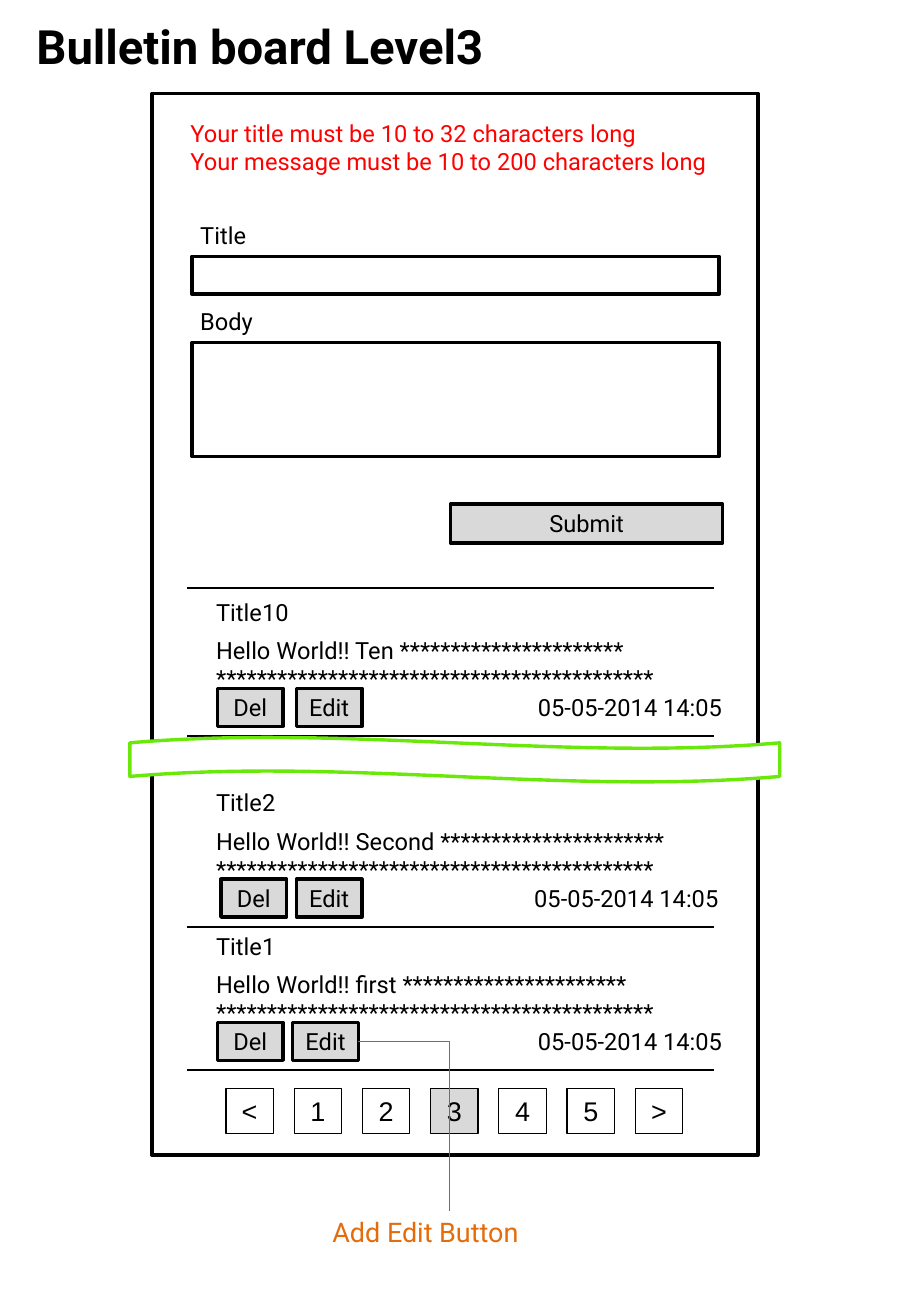
from lxml import etree
from pptx import Presentation
from pptx.dml.color import RGBColor
from pptx.enum import shapes, text
from pptx.oxml import ns
from pptx.util import Pt

BLACK = RGBColor(0x00, 0x00, 0x00)
WHITE = RGBColor(0xFF, 0xFF, 0xFF)
GREY = RGBColor(0xD9, 0xD9, 0xD9)
RED = RGBColor(0xFF, 0x00, 0x00)
GREEN = RGBColor(0x69, 0xE8, 0x0A)
ORANGE = RGBColor(0xE4, 0x6C, 0x0A)
BROWN = RGBColor(0xBF, 0x4C, 0x48)


def format_text(tf, size=14, color=BLACK, font="Roboto", align=None, bold=False):
    """Apply one font and alignment to every run of a text frame."""
    for p in tf.paragraphs:
        p.alignment = align
        for r in p.runs:
            r.font.name = font
            r.font.size = Pt(size)
            r.font.bold = bold
            r.font.color.rgb = color


def add_title(s, words):
    """Place and format the slide title."""
    sp = s.shapes.title
    sp.left, sp.top, sp.width, sp.height = Pt(14.4), Pt(-1.4), Pt(438.5), Pt(57)
    tf = sp.text_frame
    tf.text = words
    tf.auto_size = text.MSO_AUTO_SIZE.NONE
    tf.vertical_anchor = text.MSO_ANCHOR.MIDDLE
    format_text(tf, 28, align=text.PP_ALIGN.LEFT, bold=True)


def add_label(parent, words, x, y, w, h, size=14, color=BLACK):
    """Add a text box and return its text frame."""
    tf = parent.add_textbox(Pt(x), Pt(y), Pt(w), Pt(h)).text_frame
    tf.word_wrap = True
    tf.text = words
    format_text(tf, size, color)
    return tf


def add_box(parent, x, y, w, h, fill=None, line=BLACK, weight=2,
            kind=shapes.MSO_SHAPE.RECTANGLE):
    """Add an outlined shape, filled only when a colour is given."""
    sp = parent.add_shape(kind, Pt(x), Pt(y), Pt(w), Pt(h))
    sp.shadow.inherit = False
    if fill is None:
        sp.fill.background()
    else:
        sp.fill.solid()
        sp.fill.fore_color.rgb = fill
    sp.line.color.rgb = line
    sp.line.width = Pt(weight)
    return sp


def add_button(parent, words, x, y, w, h):
    """Add a grey button with a centred caption."""
    sp = add_box(parent, x, y, w, h, GREY)
    sp.text_frame.text = words
    format_text(sp.text_frame, align=text.PP_ALIGN.CENTER)
    return sp


def add_line(parent, x1, y1, x2, y2, color=BLACK, weight=1,
             kind=shapes.MSO_CONNECTOR.STRAIGHT):
    """Add a connector without a shadow."""
    line = parent.add_connector(kind, Pt(x1), Pt(y1), Pt(x2), Pt(y2))
    line.line.color.rgb = color
    line.line.width = Pt(weight)
    etree.SubElement(line._element.spPr, ns.qn("a:effectLst"))
    return line


def add_rule(parent, y):
    """Add a horizontal rule between posts."""
    add_line(parent, 110.9, y, 423.4, y)


def add_post(s, title, greeting, rule_y, del_x, edit_x, date_x):
    """Add a grouped post above its rule and return its edit button."""
    group = s.shapes.add_group_shape().shapes
    add_rule(group, rule_y)
    words = f"{title}\n{greeting} {'*' * 22}\v{'*' * 43}"
    tf = add_label(group, words, 121, rule_y - 85.7, 301, 64)
    tf.paragraphs[1].space_before = Pt(5.9)
    add_label(group, "05-05-2014 14:05", date_x, rule_y - 28.9, 129.6, 24.5)
    add_button(group, "Del", del_x, rule_y - 28.3, 38.9, 22.5)
    return add_button(group, "Edit", edit_x, rule_y - 28.3, 38.9, 22.5)


def add_pager(s, marks, current):
    """Add the row of page boxes with the current page shaded."""
    for i, mark in enumerate(marks):
        fill = GREY if mark == current else None
        sp = add_box(s.shapes, 133.9 + 40.45 * i, 645.1, 28.1, 26.6, fill, weight=0.75)
        tf = sp.text_frame
        tf.text = mark
        tf.vertical_anchor = text.MSO_ANCHOR.TOP
        format_text(tf, 16, font="Arial", align=text.PP_ALIGN.CENTER)


def add_callout(s, words, button):
    """Add a caption tied to a button by a bent line."""
    add_label(s.shapes, words, 190, 717.1, 160.6, 26.6, 16, ORANGE)
    line = add_line(s.shapes, 212.4, 617.8, 266.4, 717.8, BROWN, 0.75,
                    shapes.MSO_CONNECTOR.ELBOW)
    line.begin_connect(button, 3)
    line._element.spPr.find(ns.qn("a:prstGeom")).set("prst", "bentConnector2")


def add_form(s):
    """Add the error messages, the input fields and the submit button."""
    errors = ("Your title must be 10 to 32 characters long\n"
              "Your message must be 10 to 200 characters long")
    add_label(s.shapes, errors, 105.8, 67, 345.6, 41, color=RED)
    add_label(s.shapes, "Title", 111.6, 127.4, 44, 24.5)
    add_box(s.shapes, 113.8, 151.9, 312.5, 22.5)
    add_label(s.shapes, "Body", 111.6, 178.6, 69, 24.5)
    add_box(s.shapes, 113.8, 203, 312.5, 67.7)
    add_button(s.shapes, "Submit", 267.1, 298.8, 161.3, 23)


def main():
    """Build the bulletin board slide."""
    prs = Presentation()
    prs.slide_width, prs.slide_height = Pt(540), Pt(780)
    s = prs.slides.add_slide(prs.slide_layouts[5])
    add_title(s, "Bulletin board Level3")
    add_box(s.shapes, 90, 55.4, 359.3, 629.3)
    add_form(s)
    add_rule(s.shapes, 348.5)
    add_pager(s, "<12345>", "3")
    add_post(s, "Title10", "Hello World!! Ten", 436.3, 128.9, 175.7, 311.8)
    add_post(s, "Title2", "Hello World!! Second", 549.4, 131, 175.7, 309.6)
    edit = add_post(s, "Title1", "Hello World!! first", 634.3, 128.9, 173.5, 311.8)
    add_box(s.shapes, 77, 437, 385.2, 26.6, WHITE, GREEN, kind=shapes.MSO_SHAPE.WAVE)
    add_callout(s, "Add Edit Button", edit)
    prs.save("out.pptx")


main()
